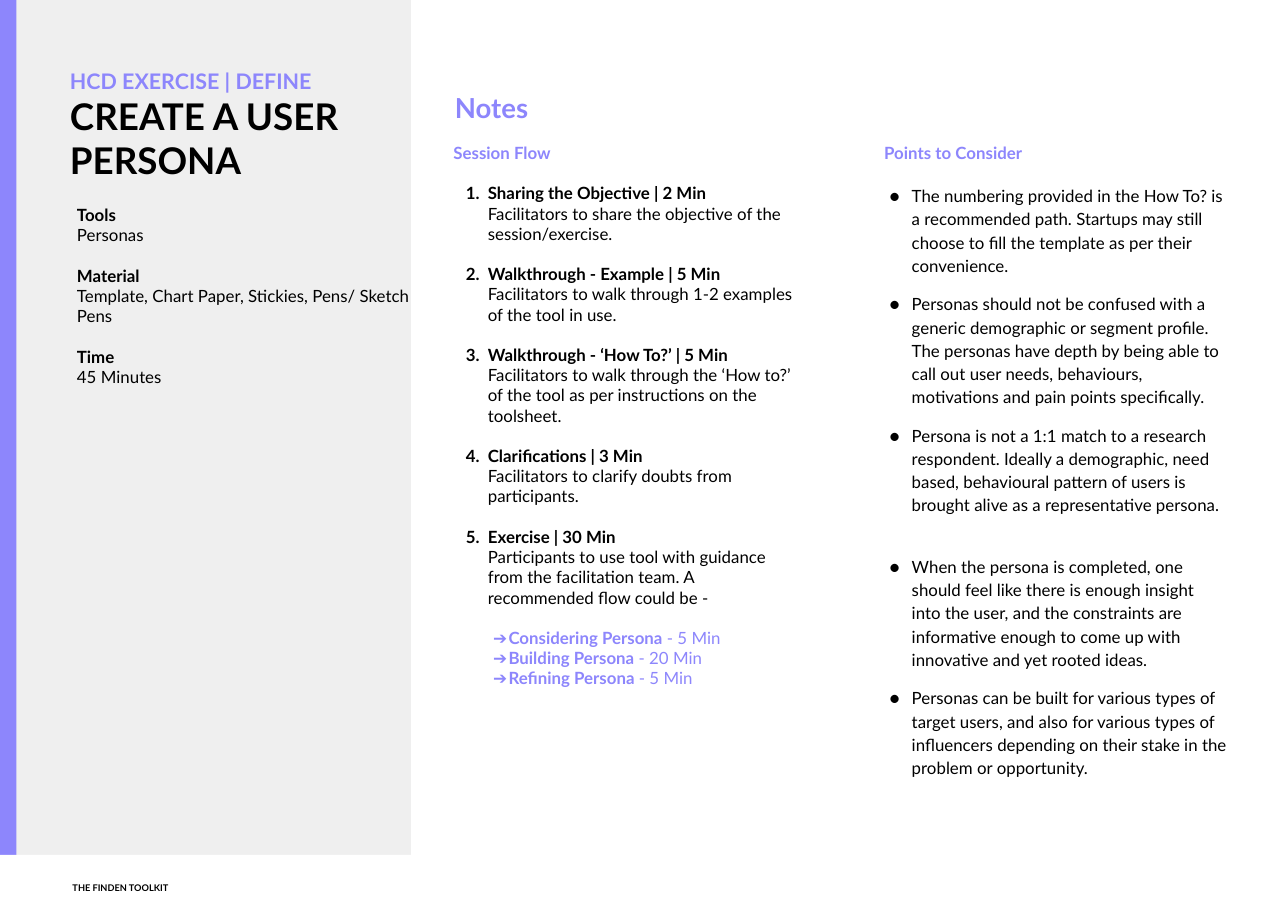
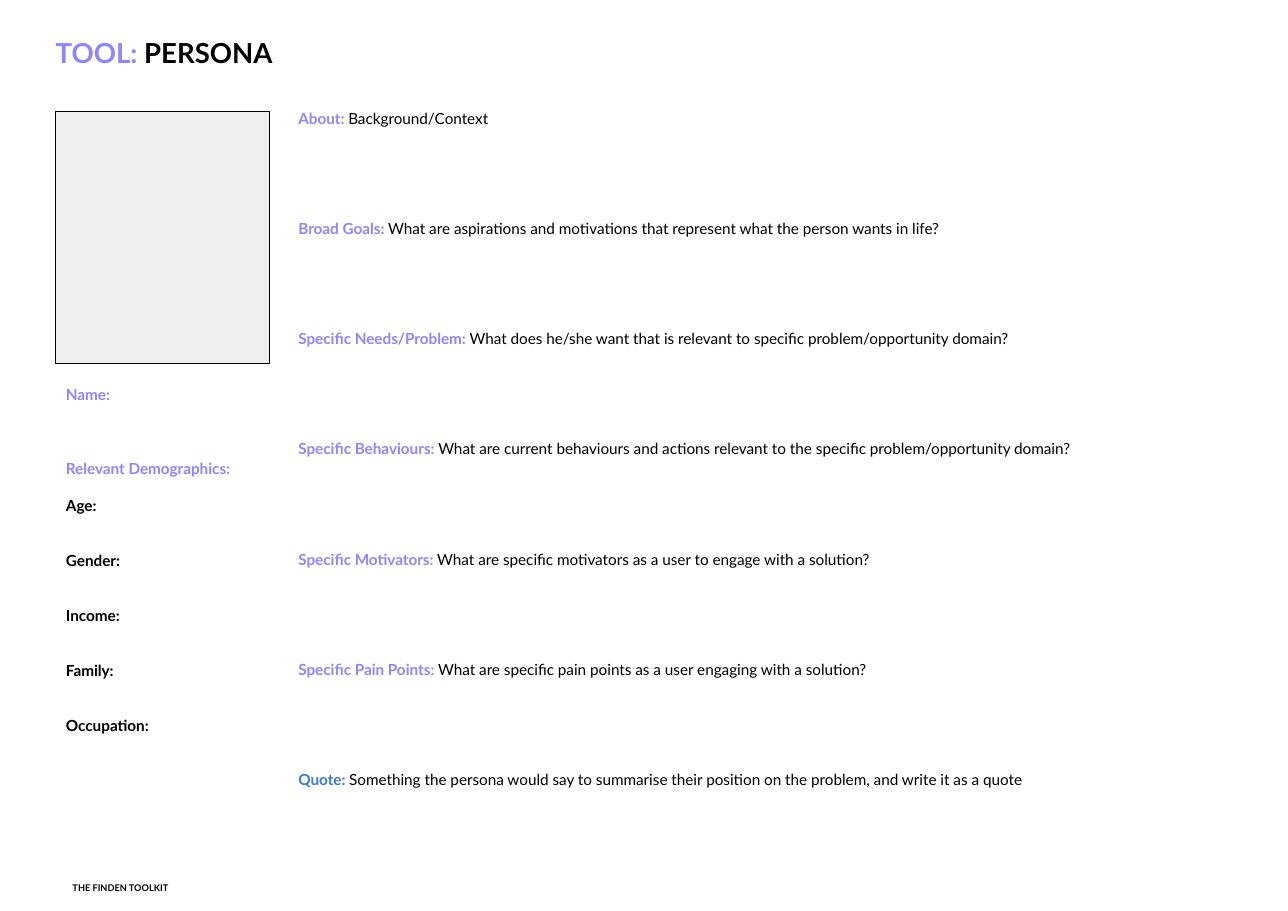
from dataclasses import dataclass

from lxml.etree import SubElement
from pptx import Presentation
from pptx.dml.color import RGBColor
from pptx.enum.shapes import MSO_SHAPE
from pptx.enum.text import MSO_ANCHOR
from pptx.oxml.ns import qn
from pptx.util import Pt

COLOURS = {
    "accent": "8D86FC",
    "quote": "3C78D8",
    "text": "000000",
    "panel": "EFEFEF",
    "paper": "FFFFFF",
}
FONT = "Lato"
WIDTH, HEIGHT = 841.68, 595.44
BAND_TOP = 558.7
BODY_SIZE, TOOL_SIZE = 11, 10
BODY_LINE, TOOL_LINE = 13.2, 12

SESSION_STEPS = [
    ("Sharing the Objective | 2 Min",
     "Facilitators to share the objective of the session/exercise."),
    ("Walkthrough - Example | 5 Min",
     "Facilitators to walk through 1-2 examples of the tool in use."),
    ("Walkthrough - ‘How To?’ | 5 Min",
     "Facilitators to walk through the ‘How to?’ of the tool as per instructions on the toolsheet."),
    ("Clarifications | 3 Min",
     "Facilitators to clarify doubts from participants."),
    ("Exercise | 30 Min",
     "Participants to use tool with guidance from the facilitation team. "
     "A recommended flow could be -"),
]
EXERCISE_FLOW = [
    ("Considering Persona ", "- 5 Min"),
    ("Building Persona ", "- 20 Min"),
    ("Refining Persona ", "- 5 Min"),
]
POINTS = [
    (BODY_LINE, "The numbering provided in the How To? is a recommended path. Startups may still "
                "choose to fill the template as per their convenience."),
    (10, "Personas should not be confused with a generic demographic or segment profile. "
         "The personas have depth by being able to call out user needs, behaviours, "
         "motivations and pain points specifically."),
    (10, "Persona is not a 1:1 match to a research respondent. Ideally a demographic, need "
         "based, behavioural pattern of users is brought alive as a representative persona."),
    (25.2, "When the persona is completed, one should feel like there is enough insight into "
           "the user, and the constraints are informative enough to come up with innovative "
           "and yet rooted ideas."),
    (10, "Personas can be built for various types of target users, and also for various types "
         "of influencers depending on their stake in the problem or opportunity."),
]
PREPARATION = [
    ("Tools", "Personas"),
    ("Material", "Template, Chart Paper, Stickies, Pens/ Sketch Pens"),
    ("Time", "45 Minutes"),
]
PERSONA_PROMPTS = [
    ("About: ", "Background/Context", "accent"),
    ("Broad Goals: ",
     "What are aspirations and motivations that represent what the person wants in life?", "accent"),
    ("Specific Needs/Problem: ",
     "What does he/she want that is relevant to specific problem/opportunity domain?", "accent"),
    ("Specific Behaviours: ",
     "What are current behaviours and actions relevant to the specific problem/opportunity domain?",
     "accent"),
    ("Specific Motivators: ",
     "What are specific motivators as a user to engage with a solution?", "accent"),
    ("Specific Pain Points: ",
     "What are specific pain points as a user engaging with a solution?", "accent"),
    ("Quote: ",
     "Something the persona would say to summarise their position on the problem, "
     "and write it as a quote", "quote"),
]
PROFILE_FIELDS = [
    ("Name:", "accent", 0),
    ("Relevant Demographics:", "accent", 3),
    ("Age:", "text", 1),
    ("Gender:", "text", 2),
    ("Income:", "text", 2),
    ("Family:", "text", 2),
    ("Occupation:", "text", 2),
]


@dataclass
class Words:
    """Hold one run of text and its look."""
    text: str
    colour: str = "text"
    bold: bool = True
    size: float = BODY_SIZE


@dataclass
class Line:
    """Hold one paragraph: its runs, spacing, indent and bullet."""
    runs: list
    before: float = 0
    left: float = 0
    hanging: float = 0
    bullet: object = None
    colour: str = "text"
    spacing: float = 1.0


def rgb(name):
    """Return a named colour."""
    return RGBColor.from_string(COLOURS[name])


def add_bullet(paragraph, line):
    """Give a paragraph its indent and its number or symbol."""
    properties = paragraph._p.get_or_add_pPr()
    properties.set("marL", str(Pt(line.left)))
    properties.set("indent", str(-Pt(line.hanging)))
    if line.bullet is None:
        SubElement(properties, qn("a:buNone"))
        return
    colour = SubElement(properties, qn("a:buClr"))
    SubElement(colour, qn("a:srgbClr"), val=COLOURS[line.colour])
    SubElement(properties, qn("a:buFont"), typeface=FONT)
    if isinstance(line.bullet, int):
        SubElement(properties, qn("a:buAutoNum"), type="arabicPeriod", startAt=str(line.bullet))
    else:
        SubElement(properties, qn("a:buChar"), char=line.bullet)


def add_text(slide, box, lines, inset=7.2, anchor=MSO_ANCHOR.TOP):
    """Add a wrapped text box made of lines."""
    frame = slide.shapes.add_textbox(*map(Pt, box)).text_frame
    frame.word_wrap = True
    frame.vertical_anchor = anchor
    frame.margin_left = frame.margin_right = Pt(inset)
    frame.margin_top = frame.margin_bottom = Pt(inset)
    for index, line in enumerate(lines):
        paragraph = frame.add_paragraph() if index else frame.paragraphs[0]
        add_bullet(paragraph, line)
        paragraph.line_spacing = line.spacing
        if line.before:
            paragraph.space_before = Pt(line.before)
        for words in line.runs:
            run = paragraph.add_run()
            run.text = words.text
            run.font.name = FONT
            run.font.size = Pt(words.size)
            run.font.bold = words.bold
            run.font.color.rgb = rgb(words.colour)


def add_panel(slide, box, fill, outline=None):
    """Add a flat rectangle."""
    shape = slide.shapes.add_shape(MSO_SHAPE.RECTANGLE, *map(Pt, box))
    shape.shadow.inherit = False
    shape.fill.solid()
    shape.fill.fore_color.rgb = rgb(fill)
    if outline:
        shape.line.color.rgb = rgb(outline)
        shape.line.width = Pt(0.75)
    else:
        shape.line.fill.background()


def add_title(slide, box, lines):
    """Add a title that sits on the bottom of its box."""
    add_text(slide, box, lines, inset=9, anchor=MSO_ANCHOR.BOTTOM)


def add_footer(slide):
    """Add the white band and the toolkit name."""
    add_panel(slide, (0, BAND_TOP, WIDTH, HEIGHT - BAND_TOP), "paper")
    add_text(slide, (40.3, 566.6, 332, 20.9), [Line([Words("THE FINDEN TOOLKIT", size=6)])],
             anchor=MSO_ANCHOR.BOTTOM)


def session_lines():
    """Return the numbered session flow with its closing arrows."""
    lines = [Line([Words("Session Flow", "accent")])]
    for number, (heading, detail) in enumerate(SESSION_STEPS, 1):
        lines.append(Line([Words(heading)], BODY_LINE, 22.5, 14.4, number))
        lines.append(Line([Words(detail, bold=False)], left=22.5))
    for index, (stage, time) in enumerate(EXERCISE_FLOW):
        runs = [Words(stage, "accent"), Words(time, "accent", False)]
        lines.append(Line(runs, 0 if index else BODY_LINE, 36, 10, "➔", "accent"))
    return lines


def preparation_lines():
    """Return the bold headings and details of the side panel."""
    lines = []
    for heading, detail in PREPARATION:
        lines.append(Line([Words(heading)], BODY_LINE if lines else 0))
        lines.append(Line([Words(detail, bold=False)]))
    return lines


def build_exercise(slide):
    """Build the exercise slide."""
    add_panel(slide, (0, 0, 268.6, HEIGHT), "panel")
    add_panel(slide, (0, 0, 10.8, HEIGHT), "accent")
    add_title(slide, (36.7, 41, 224.6, 87.1), [
        Line([Words("HCD EXERCISE | DEFINE", "accent", size=14)]),
        Line([Words("CREATE A USER PERSONA", size=24)]),
    ])
    add_text(slide, (43.2, 126.7, 236.2, 154), preparation_lines())
    add_text(slide, (290.2, 45.4, 236.2, 49.7), [Line([Words("Notes", "accent", size=18)])],
             anchor=MSO_ANCHOR.MIDDLE)
    add_text(slide, (287.3, 84.2, 242, 422), session_lines(), inset=9)
    points = [Line([Words("Points to Consider", "accent")])]
    points += [Line([Words(text, bold=False)], before, 18, 14.4, "●", spacing=1.15)
               for before, text in POINTS]
    add_text(slide, (568.8, 84.2, 242, 458.6), points, inset=9)
    add_footer(slide)


def build_tool(slide):
    """Build the persona template slide."""
    add_title(slide, (27.4, 23, 388, 31), [
        Line([Words("TOOL:", "accent", size=18), Words(" PERSONA", size=18)]),
    ])
    add_panel(slide, (36, 72.7, 140.4, 164.9), "panel", "text")
    prompts = [
        Line([Words(label, colour, size=TOOL_SIZE), Words(question, bold=False, size=TOOL_SIZE)],
             5 * TOOL_LINE if index else 0)
        for index, (label, question, colour) in enumerate(PERSONA_PROMPTS)
    ]
    add_text(slide, (187.9, 64.1, 608.4, 376.6), prompts)
    fields = [Line([Words(label, colour, size=TOOL_SIZE)], gap * TOOL_LINE)
              for label, colour, gap in PROFILE_FIELDS]
    add_text(slide, (36, 244.8, 140.4, 72.7), fields)
    add_footer(slide)


def main():
    """Build and save the presentation."""
    presentation = Presentation()
    presentation.slide_width, presentation.slide_height = Pt(WIDTH), Pt(HEIGHT)
    for build in (build_exercise, build_tool):
        build(presentation.slides.add_slide(presentation.slide_layouts[6]))
    presentation.save("out.pptx")


if __name__ == "__main__":
    main()
